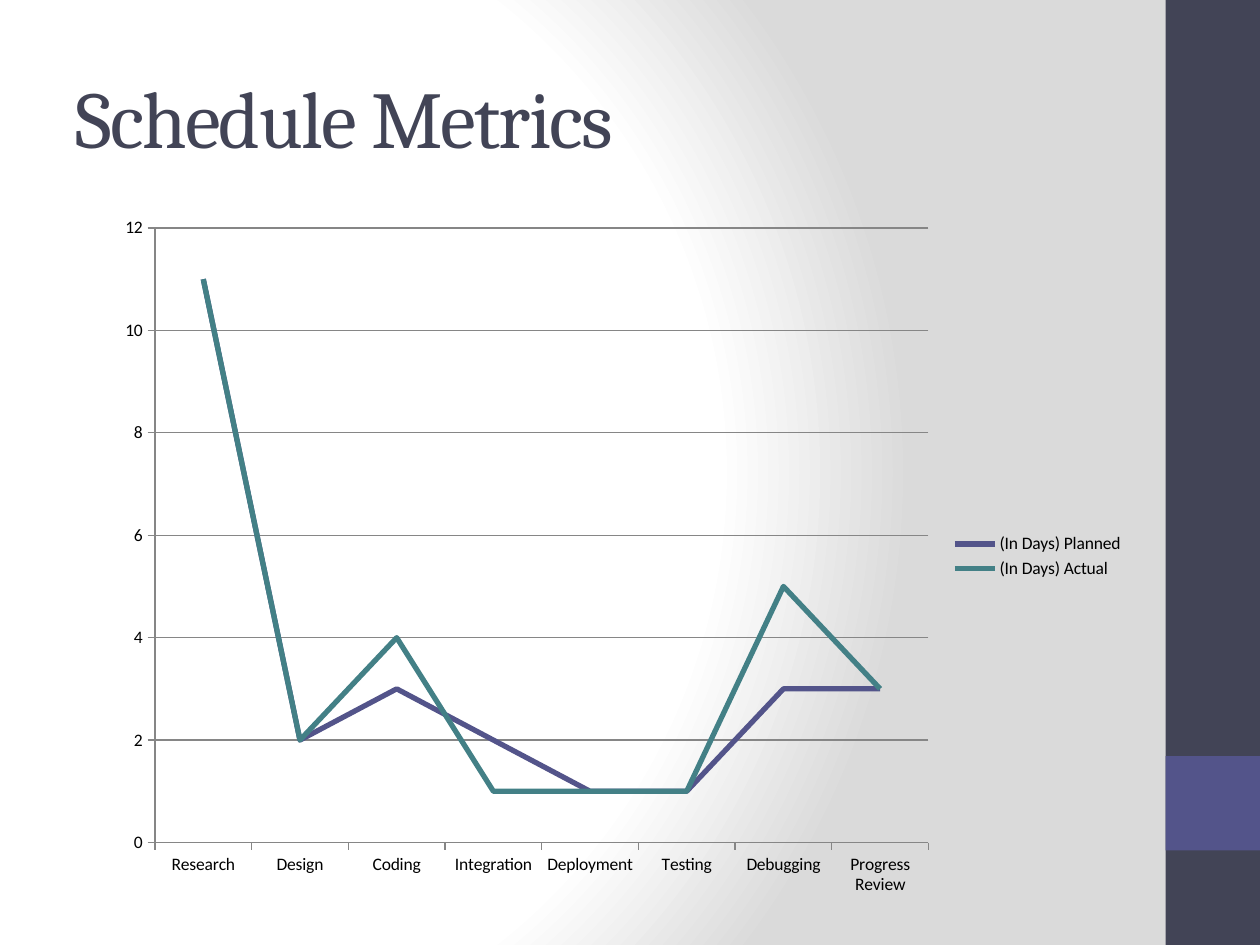
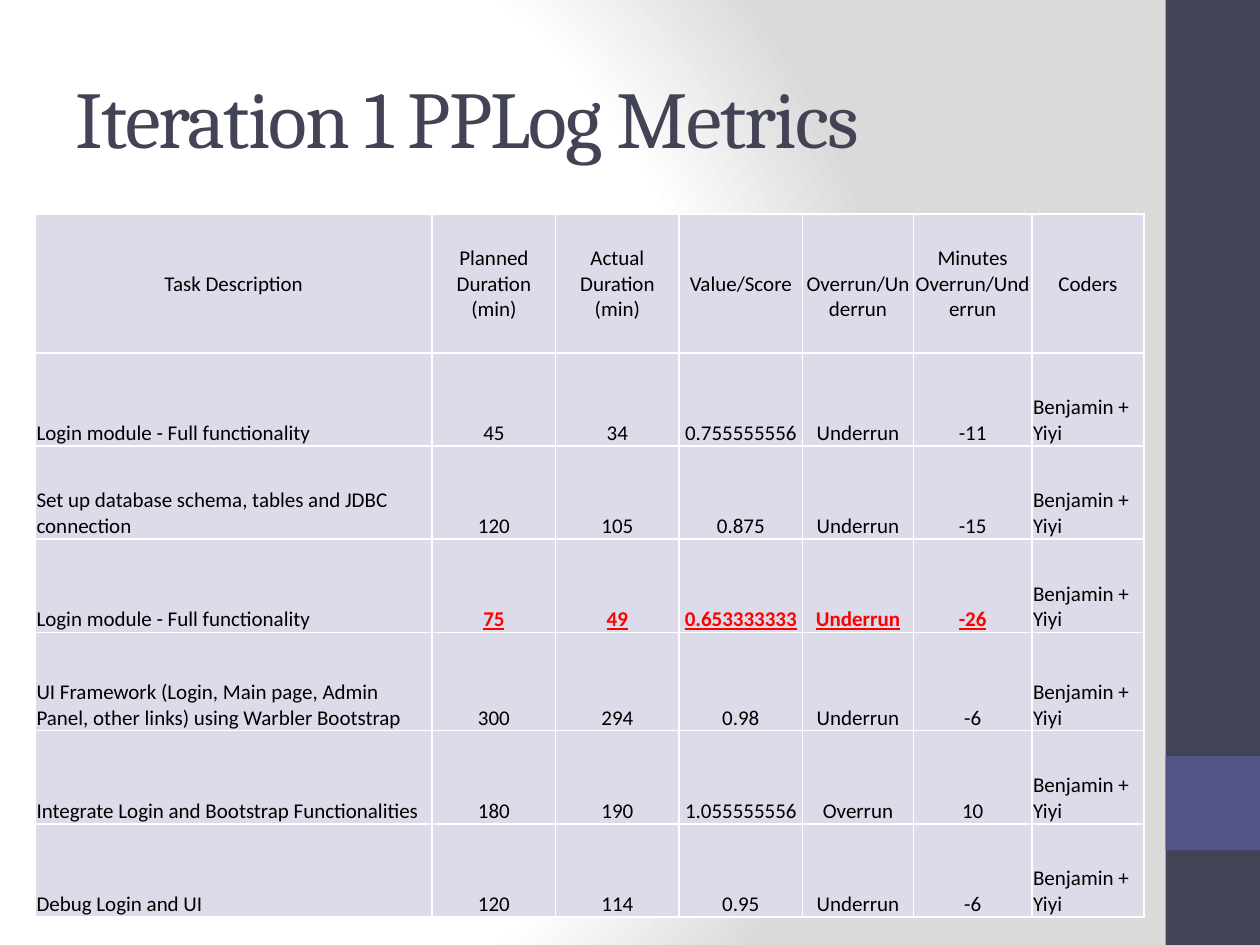
"""Build the schedule chart and the iteration metrics table slides."""
from lxml import etree
from pptx import Presentation
from pptx.chart.data import CategoryChartData
from pptx.dml.color import RGBColor
from pptx.enum.chart import XL_CHART_TYPE, XL_LEGEND_POSITION, XL_MARKER_STYLE, XL_TICK_MARK
from pptx.enum.shapes import MSO_SHAPE
from pptx.enum.text import MSO_ANCHOR, PP_ALIGN
from pptx.oxml import parse_xml
from pptx.oxml.ns import nsdecls
from pptx.util import Inches, Pt

LEFT, CENTER = PP_ALIGN.LEFT, PP_ALIGN.CENTER
MIDDLE, BOTTOM = MSO_ANCHOR.MIDDLE, MSO_ANCHOR.BOTTOM
RECTANGLE = MSO_SHAPE.RECTANGLE
LINE, NO_MARKER = XL_CHART_TYPE.LINE, XL_MARKER_STYLE.NONE
LEGEND_RIGHT, TICK_OUT = XL_LEGEND_POSITION.RIGHT, XL_TICK_MARK.OUTSIDE

SLATE = RGBColor(0x42, 0x44, 0x56)
INDIGO = RGBColor(0x53, 0x54, 0x8A)
TEAL = RGBColor(0x43, 0x80, 0x86)
LAVENDER = RGBColor(0xDB, 0xDB, 0xE9)
GRAY = RGBColor(0x86, 0x86, 0x86)
RED = RGBColor(0xFF, 0x00, 0x00)
BLACK = RGBColor(0x00, 0x00, 0x00)
HEADING_FONT, BODY_FONT = "Cambria", "Calibri"


def write(frame, text, size=12, font=BODY_FONT, color=BLACK, align=LEFT,
          strong=False, spacing=None):
    paragraph = frame.paragraphs[0]
    paragraph.alignment = align
    run = paragraph.add_run()
    run.text = text
    run.font.size = Pt(size)
    run.font.name = font
    run.font.color.rgb = color
    run.font.bold = strong
    run.font.underline = strong
    if spacing is not None:
        run.font._element.set("spc", str(spacing))


prs = Presentation()
prs.slide_width, prs.slide_height = Inches(10), Inches(7.5)

master = prs.slide_master
master.background.fill.gradient()
gradient = master.element.xpath("./p:cSld/p:bg//a:gradFill")[0]
gradient.getparent().replace(gradient, parse_xml(
    f'<a:gradFill {nsdecls("a")} rotWithShape="1"><a:gsLst>'
    + "".join(f'<a:gs pos="{position}"><a:srgbClr val="{tone}"/></a:gs>'
              for position, tone in ((0, "FFFFFF"), (75000, "FFFFFF"), (100000, "DADADA")))
    + '</a:gsLst><a:path path="circle">'
    '<a:fillToRect l="20000" t="50000" r="100000" b="50000"/></a:path></a:gradFill>'))

slides = []
for heading in ("Schedule Metrics", "Iteration 1 PPLog Metrics"):
    slide = prs.slides.add_slide(prs.slide_layouts[5])
    for top, height, color in ((0, 7.5, SLATE), (6, 0.75, INDIGO)):
        band = slide.shapes.add_shape(
            RECTANGLE, Inches(9.25), Inches(top), Inches(0.75), Inches(height))
        band.shadow.inherit = False
        band.fill.solid()
        band.fill.fore_color.rgb = color
        band.line.fill.background()
    title = slide.shapes.title
    title.left, title.top = Inches(0.5), Inches(0.3)
    title.width, title.height = Inches(8.33), Inches(1.25)
    title.text_frame.vertical_anchor = MIDDLE
    write(title.text_frame, heading, size=46, font=HEADING_FONT, color=SLATE, spacing=-100)
    slides.append(slide)
schedule_slide, iteration_slide = slides

schedule = CategoryChartData()
schedule.categories = ["Research", "Design", "Coding", "Integration", "Deployment",
                       "Testing", "Debugging", "Progress Review"]
schedule.add_series("(In Days) Planned", (11, 2, 3, 2, 1, 1, 3, 3))
schedule.add_series("(In Days) Actual", (11, 2, 4, 1, 1, 1, 5, 3))
chart = schedule_slide.shapes.add_chart(
    LINE, Inches(0.83), Inches(1.62), Inches(8.19), Inches(5.59), schedule).chart
chart.has_title = False
chart.font.size = Pt(10)
chart.font.name = BODY_FONT
chart.font.color.rgb = BLACK
chart.has_legend = True
chart.legend.position = LEGEND_RIGHT
chart.legend.include_in_layout = False
chart.plots[0].vary_by_categories = False
for series, color in zip(chart.plots[0].series, (INDIGO, TEAL)):
    series.smooth = False
    series.marker.style = NO_MARKER
    series.format.line.color.rgb = color
    series.format.line.width = Pt(3)
for axis in (chart.category_axis, chart.value_axis):
    axis.major_tick_mark = TICK_OUT
    axis.format.line.color.rgb = GRAY
    axis.format.line.width = Pt(0.75)
chart.value_axis.has_major_gridlines = True
gridline = chart.value_axis.major_gridlines.format.line
gridline.color.rgb = GRAY
gridline.width = Pt(0.75)

CODERS = "Benjamin + Yiyi"
headers = ("Task Description", "Planned Duration (min)", "Actual Duration (min)",
           "Value/Score", " Overrun/Underrun", "Minutes Overrun/Underrun", "Coders")
tasks = (
    ("Login module - Full functionality", "45", "34", "0.755555556", "Underrun", "-11"),
    ("Set up database schema, tables and JDBC connection",
     "120", "105", "0.875", "Underrun", "-15"),
    ("Login module - Full functionality", "75", "49", "0.653333333", "Underrun", "-26"),
    ("UI Framework (Login, Main page, Admin Panel, other links) using Warbler Bootstrap",
     "300", "294", "0.98", "Underrun", "-6"),
    ("Integrate Login and Bootstrap Functionalities",
     "180", "190", "1.055555556", "Overrun", "10"),
    ("Debug Login and UI", "120", "114", "0.95", "Underrun", "-6"),
)
metrics = [headers] + [task + (CODERS,) for task in tasks]
column_widths = (3.15, 0.98, 0.98, 0.98, 0.88, 0.94, 0.89)
row_heights = (1.1, 0.74, 0.74, 0.74, 0.78, 0.74, 0.74)
FLAGGED_ROW = 3

table = iteration_slide.shapes.add_table(
    len(metrics), len(headers), Inches(0.28), Inches(1.7), Inches(8.82), Inches(5.59)).table
table.first_row = table.horz_banding = False
for column, width in zip(table.columns, column_widths):
    column.width = Inches(width)
for row, height in zip(table.rows, row_heights):
    row.height = Inches(height)

for r, entries in enumerate(metrics):
    for c, entry in enumerate(entries):
        is_figure = 0 < c < len(headers) - 1
        flagged = r == FLAGGED_ROW and is_figure
        cell = table.cell(r, c)
        cell.margin_left = cell.margin_right = cell.margin_top = Inches(0.01)
        cell.margin_bottom = 0
        cell.vertical_anchor = BOTTOM if r else MIDDLE
        cell.fill.solid()
        cell.fill.fore_color.rgb = LAVENDER
        write(cell.text_frame, entry, color=RED if flagged else BLACK, strong=flagged,
              align=CENTER if is_figure or r == 0 else LEFT)
        properties = cell._tc.get_or_add_tcPr()
        for position, side in enumerate(("lnL", "lnR", "lnT", "lnB")):
            properties.insert(position, etree.fromstring(
                f'<a:{side} {nsdecls("a")} w="12700"><a:solidFill>'
                f'<a:srgbClr val="FFFFFF"/></a:solidFill></a:{side}>'))

prs.save("out.pptx")
